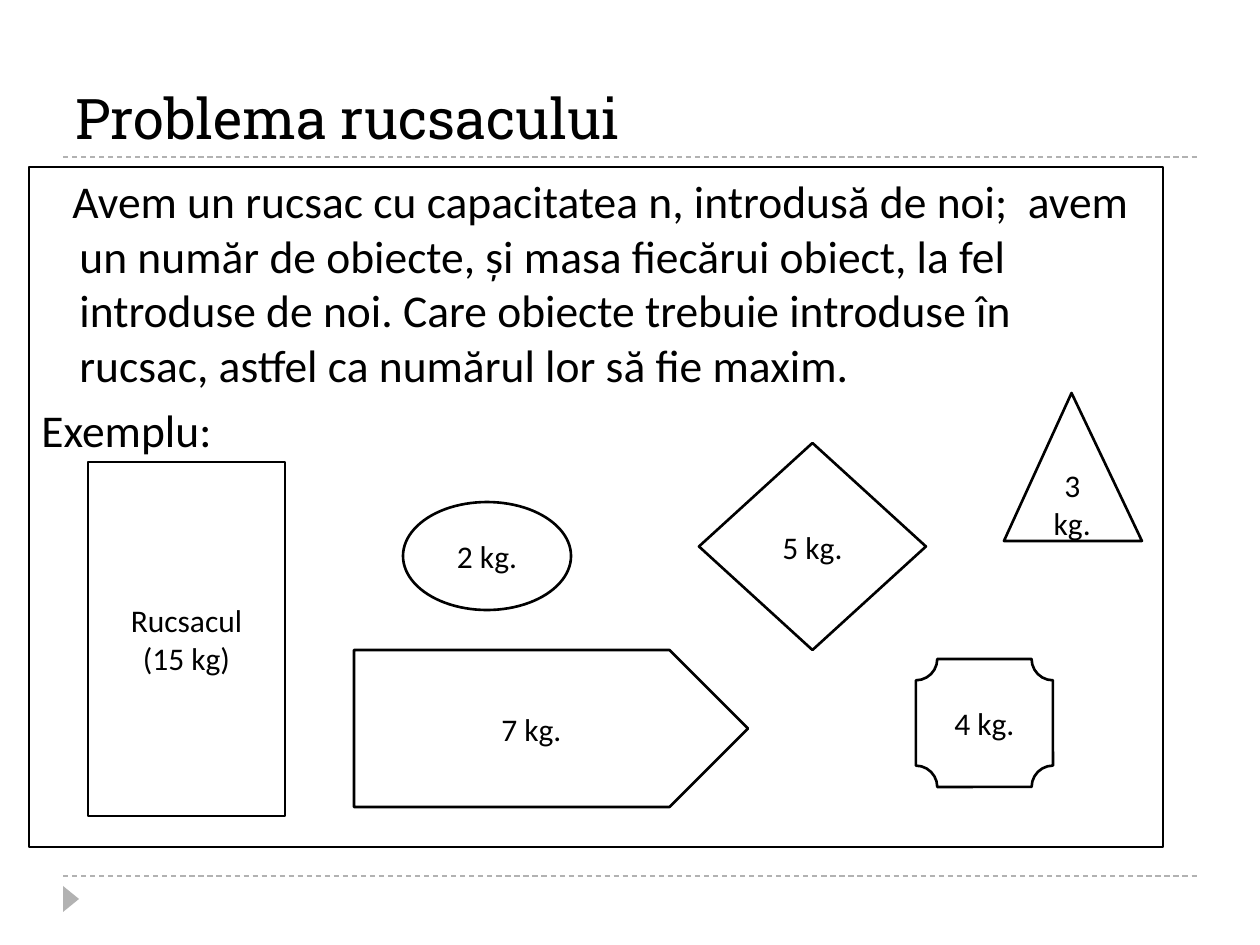
from dataclasses import dataclass

from lxml.etree import SubElement
from pptx import Presentation
from pptx.dml.color import RGBColor
from pptx.enum.dml import MSO_LINE
from pptx.enum.shapes import MSO_CONNECTOR, MSO_SHAPE
from pptx.enum.text import MSO_ANCHOR, PP_ALIGN
from pptx.oxml.ns import qn
from pptx.util import Emu, Pt


@dataclass(frozen=True)
class Theme:
    ink: RGBColor = RGBColor(0, 0, 0)
    paper: RGBColor = RGBColor(255, 255, 255)
    rule: RGBColor = RGBColor(0xB2, 0xB2, 0xB2)
    title_font: str = "Roboto Slab"
    body_font: str = "Calibri"
    title_size: Pt = Pt(32)
    body_size: Pt = Pt(26)
    label_size: Pt = Pt(18)
    outline: Pt = Pt(1.5)
    hairline: Pt = Pt(0.75)


THEME = Theme()
PX = 914400 / 126


def px(length):
    return Emu(round(length * PX))


def write(shape, lines, font, size, align, anchor):
    frame = shape.text_frame
    frame.word_wrap = True
    frame.vertical_anchor = anchor
    frame.text = "\n".join(lines)
    for paragraph in frame.paragraphs:
        paragraph.alignment = align
        paragraph.font.name = font
        paragraph.font.size = size
        paragraph.font.color.rgb = THEME.ink
    return frame.paragraphs


presentation = Presentation()
presentation.slide_width, presentation.slide_height = px(1260), px(945)
slide = presentation.slides.add_slide(presentation.slide_layouts[6])
shapes = slide.shapes

# Dashed rules under the title and above the footer
for y in (876, 157):
    rule = shapes.add_connector(MSO_CONNECTOR.STRAIGHT, px(63), px(y), px(1197), px(y))
    rule.line.color.rgb = THEME.rule
    rule.line.width = THEME.hairline
    rule.line.dash_style = MSO_LINE.DASH
    SubElement(rule.element.spPr, qn("a:effectLst"))

# Footer marker
marker = shapes.add_shape(MSO_SHAPE.ISOSCELES_TRIANGLE, px(58), px(891), px(26), px(16))
marker.rotation = 90
marker.shadow.inherit = False
marker.fill.solid()
marker.fill.fore_color.rgb = THEME.rule
marker.line.fill.background()

# Title
title = shapes.add_textbox(px(63), px(21), px(1134), px(136))
write(title, ["Problema rucsacului"], THEME.title_font, THEME.title_size,
      PP_ALIGN.LEFT, MSO_ANCHOR.BOTTOM)

# Problem statement, then the knapsack and the objects with their masses
statement = [
    "Avem un rucsac cu capacitatea n, introdusă de noi;  avem un număr de obiecte, "
    "și masa fiecărui obiect, la fel introduse de noi. Care obiecte trebuie introduse "
    "în rucsac, astfel ca numărul lor să fie maxim.",
    "Exemplu:",
]
figures = [
    (MSO_SHAPE.RECTANGLE, (29, 167, 1134, 680), statement),
    (MSO_SHAPE.RECTANGLE, (88, 462, 197, 354), ["Rucsacul", "(15 kg)"]),
    (MSO_SHAPE.OVAL, (403, 502, 168, 108), ["2 kg."]),
    (MSO_SHAPE.ISOSCELES_TRIANGLE, (1004, 393, 138, 148), ["3", "kg."]),
    (MSO_SHAPE.DIAMOND, (699, 443, 227, 207), ["5 kg."]),
    (MSO_SHAPE.PENTAGON, (354, 650, 394, 157), ["7 kg."]),
    (MSO_SHAPE.PLAQUE, (916, 659, 137, 128), ["4 kg."]),
]
for outline, box, lines in figures:
    figure = shapes.add_shape(outline, *map(px, box))
    figure.shadow.inherit = False
    figure.fill.solid()
    figure.fill.fore_color.rgb = THEME.paper
    figure.line.color.rgb = THEME.ink
    figure.line.width = THEME.outline
    if outline == MSO_SHAPE.ISOSCELES_TRIANGLE:
        figure.adjustments[0] = 0.49
    if lines is statement:
        paragraphs = write(figure, lines, THEME.body_font, THEME.body_size,
                           PP_ALIGN.LEFT, MSO_ANCHOR.TOP)
        # Hanging indents: slight for the statement, full for the example heading
        for paragraph, first_line in zip(paragraphs, (-7, -38)):
            paragraph.space_before = Pt(6)
            properties = paragraph._p.get_or_add_pPr()
            properties.set("marL", str(px(38)))
            properties.set("indent", str(px(first_line)))
    else:
        write(figure, lines, THEME.body_font, THEME.label_size,
              PP_ALIGN.CENTER, MSO_ANCHOR.MIDDLE)

presentation.save("out.pptx")
